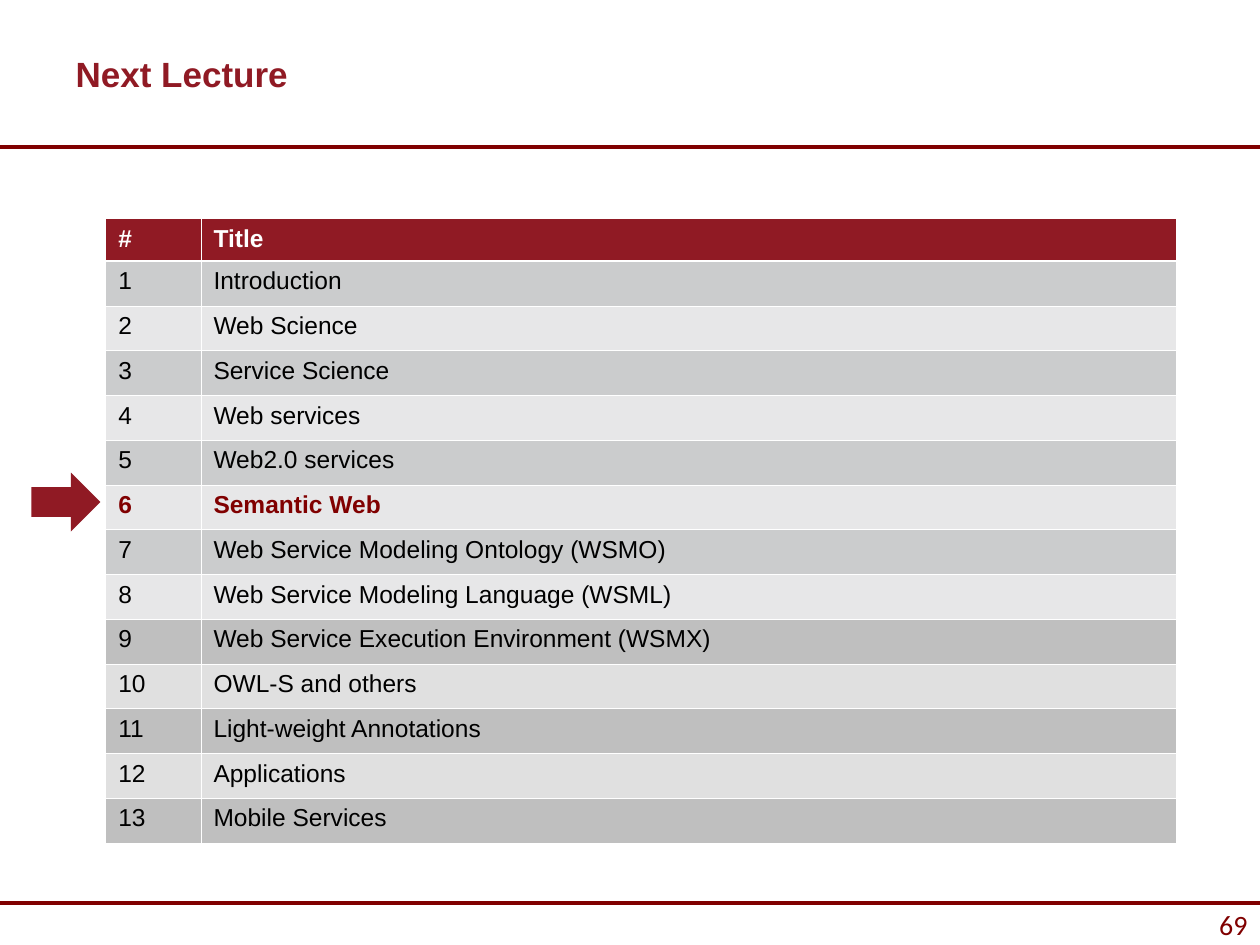
from lxml.etree import SubElement
from pptx import Presentation
from pptx.dml.color import RGBColor
from pptx.enum.shapes import MSO_CONNECTOR, MSO_SHAPE
from pptx.enum.text import MSO_ANCHOR, PP_ALIGN
from pptx.oxml.ns import qn
from pptx.util import Pt

WIDTH, HEIGHT = 720, 540
CRIMSON, MAROON, WHITE, BLACK = "901A24", "800000", "FFFFFF", "000000"
EARLY_BANDS = ("CBCCCD", "E7E7E8")
LATE_BANDS = ("BFBFBF", "E0E0E0")
FIRST_LATE = 9
NEXT = 6
LECTURES = [
    "Introduction",
    "Web Science",
    "Service Science",
    "Web services",
    "Web2.0 services",
    "Semantic Web",
    "Web Service Modeling Ontology (WSMO)",
    "Web Service Modeling Language (WSML)",
    "Web Service Execution Environment (WSMX)",
    "OWL-S and others",
    "Light-weight Annotations",
    "Applications",
    "Mobile Services",
]


def rgb(value):
    return RGBColor.from_string(value)


def points(box):
    return [Pt(length) for length in box]


def write(frame, text, color, align=PP_ALIGN.LEFT, **font_values):
    paragraph = frame.paragraphs[0]
    paragraph.alignment = align
    run = paragraph.add_run()
    run.text = text
    for name, value in font_values.items():
        setattr(run.font, name, value)
    run.font.color.rgb = rgb(color)


def add_block(slide, preset, box, color):
    block = slide.shapes.add_shape(preset, *points(box))
    block.shadow.inherit = False
    block.fill.solid()
    block.fill.fore_color.rgb = rgb(color)
    block.line.fill.background()
    return block


def add_rule(slide, y):
    rule = slide.shapes.add_connector(
        MSO_CONNECTOR.STRAIGHT, *points((0, y, WIDTH, y)))
    rule.line.color.rgb = rgb(MAROON)
    rule.line.width = Pt(2)
    SubElement(rule._element.spPr, qn("a:effectLst"))


def add_title(slide, box, text):
    title = slide.shapes.title
    title.left, title.top, title.width, title.height = points(box)
    title.text_frame.vertical_anchor = MSO_ANCHOR.MIDDLE
    write(title.text_frame, text, CRIMSON, name="Arial", size=Pt(20), bold=True)


def add_page_number(slide, box, number):
    footer = add_block(slide, MSO_SHAPE.RECTANGLE, box, WHITE)
    footer.text_frame.vertical_anchor = MSO_ANCHOR.MIDDLE
    footer.text_frame.word_wrap = False
    write(footer.text_frame, number, MAROON, PP_ALIGN.RIGHT,
          name="Calibri", size=Pt(16))


def set_borders(cell, widths):
    properties = cell._tc.get_or_add_tcPr()
    for side, width in widths.items():
        border = SubElement(properties, qn(f"a:ln{side}"), w=str(Pt(width)))
        fill = SubElement(border, qn("a:solidFill"))
        SubElement(fill, qn("a:srgbClr"), val=WHITE)


def row_style(row):
    """Return the fill, text colour and weight of a table row."""
    if row == 0:
        return CRIMSON, WHITE, True
    bands = LATE_BANDS if row >= FIRST_LATE else EARLY_BANDS
    fill = bands[(row + 1) % 2]
    return (fill, MAROON, True) if row == NEXT else (fill, BLACK, False)


def add_lecture_table(slide, box, number_width, header_height):
    rows = [("#", "Title")]
    rows += [(str(n), lecture) for n, lecture in enumerate(LECTURES, 1)]
    table = slide.shapes.add_table(len(rows), 2, *points(box)).table
    width, height = box[2:]
    table.columns[0].width = Pt(number_width)
    table.columns[1].width = Pt(width - number_width)
    row_height = (height - header_height) / len(LECTURES)

    for r, texts in enumerate(rows):
        table.rows[r].height = Pt(row_height if r else header_height)
        fill, color, bold = row_style(r)
        thin, thick = 0.45, 1.47
        widths = {"L": thin, "R": thin,
                  "T": thick if r == 1 else thin,
                  "B": thick if r == 0 else thin}
        for c, text in enumerate(texts):
            cell = table.cell(r, c)
            set_borders(cell, widths)
            cell.fill.solid()
            cell.fill.fore_color.rgb = rgb(fill)
            write(cell.text_frame, text, color,
                  name="Arial", size=Pt(14), bold=bold)


def main():
    deck = Presentation()
    deck.slide_width, deck.slide_height = Pt(WIDTH), Pt(HEIGHT)
    slide = deck.slides.add_slide(deck.slide_layouts[5])

    # Page frame
    add_page_number(slide, (0, 519, WIDTH, 18), "69")
    for y in (84, 516):
        add_rule(slide, y)
    add_title(slide, (36, 24, 456, 36), "Next Lecture")

    # Lecture list, with the arrow at the next one
    add_lecture_table(slide, (60.4, 125, 611.6, 356.8), 54.4, 24.3)
    add_block(slide, MSO_SHAPE.RIGHT_ARROW, (18, 270, 39.4, 33.75), CRIMSON)

    deck.save("out.pptx")


if __name__ == "__main__":
    main()
